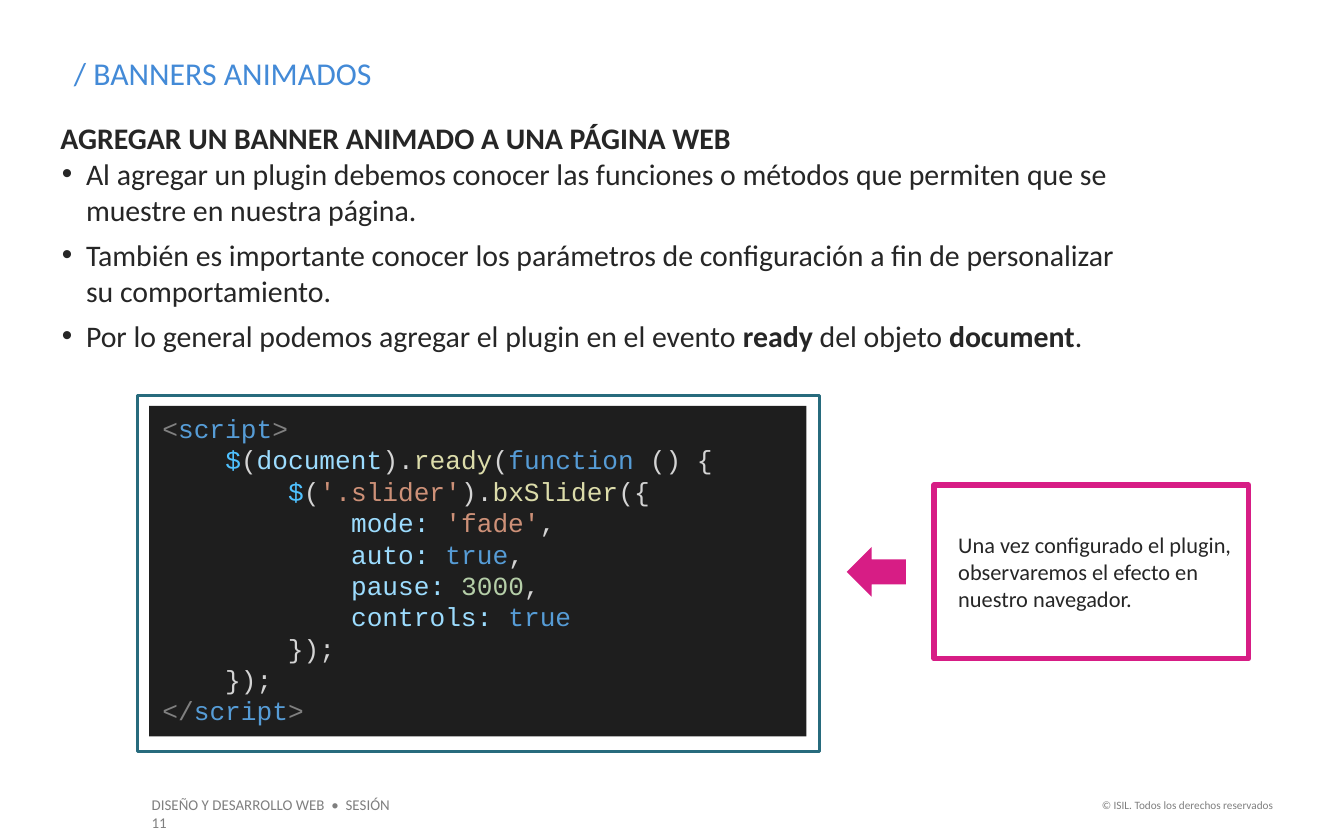
from dataclasses import dataclass
from typing import Any, NamedTuple

import lxml.etree
import pptx
import pptx.dml.color
import pptx.enum.shapes
import pptx.enum.text
import pptx.oxml.ns
import pptx.util

Inches = pptx.util.Inches
Anchor = pptx.enum.text.MSO_ANCHOR
Align = pptx.enum.text.PP_ALIGN
Shape = pptx.enum.shapes.MSO_SHAPE


@dataclass(frozen=True)
class Theme:
    body_font: str = "Calibri"
    code_font: str = "Courier New"
    title_size: float = 17
    body_size: float = 16
    code_size: float = 14
    note_size: float = 12
    footer_size: float = 8
    copyright_size: float = 6
    title: str = "438AD7"
    text: str = "262626"
    footer: str = "7F7F7F"
    frame: str = "276B7D"
    accent: str = "D71D85"
    paper: str = "FFFFFF"
    code_background: str = "1E1E1E"
    # Syntax colours
    bracket: str = "808080"
    keyword: str = "569CD6"
    plain: str = "D4D4D4"
    dollar: str = "4FC1FF"
    variable: str = "9CDCFE"
    function: str = "DCDCAA"
    string: str = "CE9178"
    number: str = "B5CEA8"


THEME = Theme()


class Box(NamedTuple):
    left: float
    top: float
    width: float
    height: float

    def lengths(self) -> list[int]:
        return [Inches(value) for value in self]


class Run(NamedTuple):
    text: str
    color: str = THEME.text
    bold: bool = False


class CodeLine(NamedTuple):
    level: int
    runs: list[Run]


class Footer(NamedTuple):
    box: Box
    text: str
    size: float
    alignment: Any


def option(name: str, value: Run, last: bool = False) -> CodeLine:
    """One slider setting inside the options object."""
    comma = [] if last else [Run(",", THEME.plain)]
    return CodeLine(3, [Run(f"{name}: ", THEME.variable), value, *comma])


def tag(opening: str) -> CodeLine:
    return CodeLine(0, [Run(opening, THEME.bracket), Run("script", THEME.keyword),
                        Run(">", THEME.bracket)])


TRUE = Run("true", THEME.keyword)
DOLLAR = [Run("$", THEME.dollar), Run("(", THEME.plain)]
CODE = [
    tag("<"),
    CodeLine(1, DOLLAR + [Run("document", THEME.variable), Run(").", THEME.plain),
                          Run("ready", THEME.function), Run("(", THEME.plain),
                          Run("function", THEME.keyword), Run(" () {", THEME.plain)]),
    CodeLine(2, DOLLAR + [Run("'.slider'", THEME.string), Run(").", THEME.plain),
                          Run("bxSlider", THEME.function), Run("({", THEME.plain)]),
    option("mode", Run("'fade'", THEME.string)),
    option("auto", TRUE),
    option("pause", Run("3000", THEME.number)),
    option("controls", TRUE, last=True),
    CodeLine(2, [Run("});", THEME.plain)]),
    CodeLine(1, [Run("});", THEME.plain)]),
    tag("</"),
]

HEADING = Run("AGREGAR UN BANNER ANIMADO A UNA PÁGINA WEB", bold=True)
BULLETS = [
    [Run("Al agregar un plugin debemos conocer las funciones o métodos que permiten "
         "que se muestre en nuestra página.")],
    [Run("También es importante conocer los parámetros de configuración a fin de "
         "personalizar su comportamiento.")],
    [Run("Por lo general podemos agregar el plugin en el evento "),
     Run("ready", bold=True), Run(" del objeto "), Run("document", bold=True), Run(".")],
]
FOOTERS = [
    Footer(Box(1.03, 5.87, 2.11, 0.24), "DISEÑO Y DESARROLLO WEB  •  SESIÓN 11",
           THEME.footer_size, Align.LEFT),
    Footer(Box(8.07, 5.89, 1.5, 0.2), "© ISIL. Todos los derechos reservados",
           THEME.copyright_size, Align.RIGHT),
]


def rgb(color: str) -> pptx.dml.color.RGBColor:
    return pptx.dml.color.RGBColor.from_string(color)


def setup_frame(shape: Any, inset: bool = True, anchor: Any = Anchor.TOP) -> Any:
    frame = shape.text_frame
    frame.word_wrap = True
    frame.auto_size = pptx.enum.text.MSO_AUTO_SIZE.NONE
    frame.vertical_anchor = anchor
    frame.margin_left = frame.margin_right = Inches(0.1 if inset else 0)
    frame.margin_top = frame.margin_bottom = Inches(0.05 if inset else 0)
    return frame


def write_runs(paragraph: Any, runs: list[Run], size: float,
               font: str = THEME.body_font, alignment: Any = Align.LEFT) -> None:
    paragraph.alignment = alignment
    for item in runs:
        run = paragraph.add_run()
        run.text = item.text
        run.font.name = font
        run.font.size = pptx.util.Pt(size)
        run.font.bold = item.bold
        run.font.color.rgb = rgb(item.color)


def add_bullet(paragraph: Any, color: str) -> None:
    properties = paragraph._p.get_or_add_pPr()
    properties.set("marL", str(Inches(0.19)))
    properties.set("indent", str(-Inches(0.18)))
    qn = pptx.oxml.ns.qn
    bullet_color = lxml.etree.SubElement(properties, qn("a:buClr"))
    lxml.etree.SubElement(bullet_color, qn("a:srgbClr"), val=color)
    lxml.etree.SubElement(properties, qn("a:buFont"), typeface="Arial")
    lxml.etree.SubElement(properties, qn("a:buChar"), char="•")


def add_block(slide: Any, kind: Any, box: Box, fill: str | None = None,
              line: str | None = None, line_width: float = 1) -> Any:
    shape = slide.shapes.add_shape(kind, *box.lengths())
    shape.shadow.inherit = False
    if fill:
        shape.fill.solid()
        shape.fill.fore_color.rgb = rgb(fill)
    else:
        shape.fill.background()
    if line:
        shape.line.color.rgb = rgb(line)
        shape.line.width = pptx.util.Pt(line_width)
    else:
        shape.line.fill.background()
    return shape


def main() -> None:
    presentation = pptx.Presentation()
    presentation.slide_width, presentation.slide_height = Inches(10), Inches(6.25)
    slide = presentation.slides.add_slide(presentation.slide_layouts[5])

    # Title
    title = slide.shapes.title
    title.left, title.top, title.width, title.height = Box(0.45, 0.35, 7.88, 0.39).lengths()
    write_runs(setup_frame(title).paragraphs[0],
               [Run("/ BANNERS ANIMADOS", THEME.title)], THEME.title_size)

    # Footers
    for footer in FOOTERS:
        frame = setup_frame(slide.shapes.add_textbox(*footer.box.lengths()))
        write_runs(frame.paragraphs[0], [Run(footer.text, THEME.footer)], footer.size,
                   alignment=footer.alignment)

    # Heading and bullets
    body = slide.shapes.add_textbox(*Box(0.45, 0.89, 7.88, 1.75).lengths())
    frame = setup_frame(body, inset=False)
    write_runs(frame.paragraphs[0], [HEADING], THEME.body_size)
    for index, runs in enumerate(BULLETS):
        paragraph = frame.add_paragraph()
        paragraph.space_before = pptx.util.Pt(5 if index else 0)
        add_bullet(paragraph, THEME.text)
        write_runs(paragraph, runs, THEME.body_size)

    # Framed code listing
    add_block(slide, Shape.RECTANGLE, Box(1.02, 2.94, 5.08, 2.65), THEME.paper, THEME.frame, 1.5)
    listing = add_block(slide, Shape.RECTANGLE, Box(1.11, 3.02, 4.89, 2.46), THEME.code_background)
    frame = setup_frame(listing)
    for index, line in enumerate(CODE):
        paragraph = frame.add_paragraph() if index else frame.paragraphs[0]
        indent = [Run("    " * line.level, THEME.plain)] if line.level else []
        write_runs(paragraph, indent + line.runs, THEME.code_size, THEME.code_font)

    # Note and arrow towards the code
    note = add_block(slide, Shape.RECTANGLE, Box(6.95, 3.61, 2.34, 1.29),
                     line=THEME.accent, line_width=3)
    frame = setup_frame(note, anchor=Anchor.MIDDLE)
    frame.margin_left = Inches(0.18)
    write_runs(frame.paragraphs[0],
               [Run("Una vez configurado el plugin, observaremos el efecto en nuestro navegador.")],
               THEME.note_size)
    add_block(slide, Shape.LEFT_ARROW, Box(6.3, 4.07, 0.44, 0.37), THEME.accent)

    presentation.save("out.pptx")


if __name__ == "__main__":
    main()
